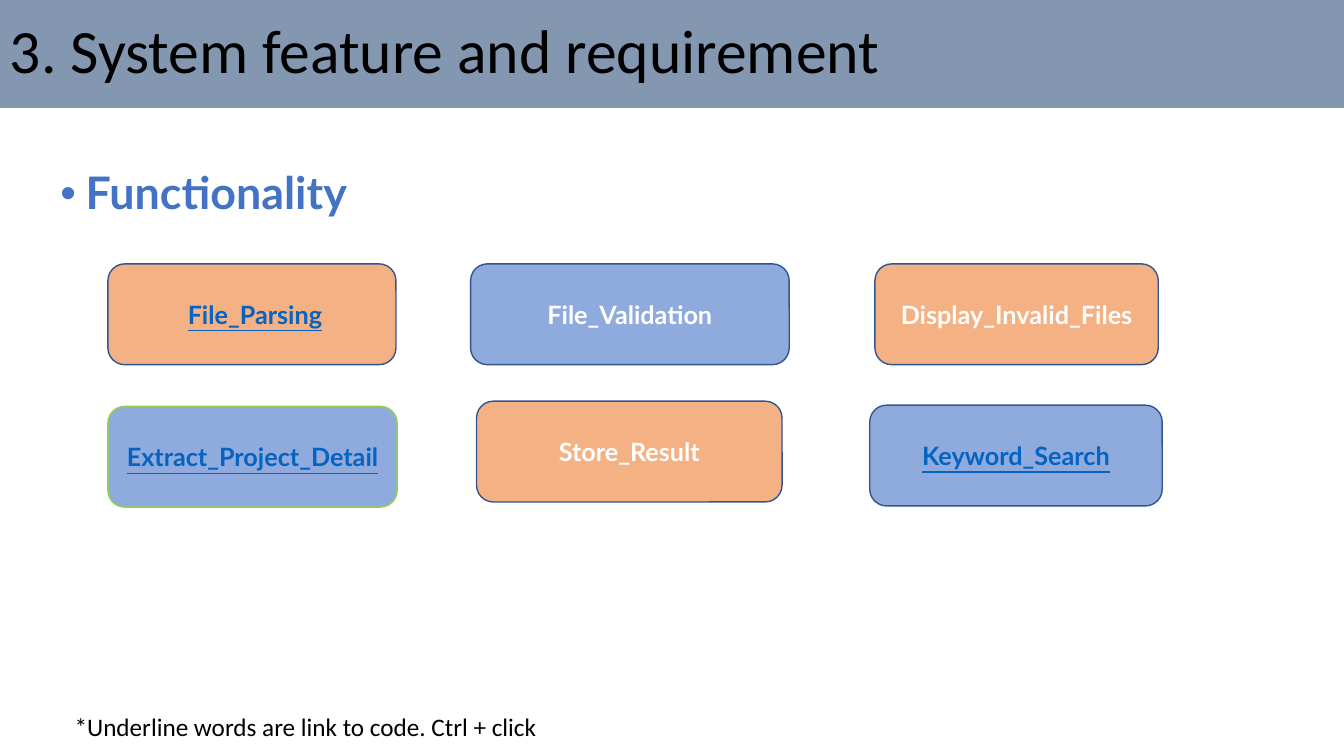
from lxml.etree import SubElement
from pptx import Presentation
from pptx.dml.color import RGBColor
from pptx.enum.shapes import MSO_SHAPE
from pptx.enum.text import MSO_ANCHOR, PP_ALIGN
from pptx.oxml.ns import qn
from pptx.util import Cm, Pt

COLORS = {
    "banner": "8497B0",
    "heading": "4472C4",
    "blue": "8FAADC",
    "orange": "F4B183",
    "outline": "325491",
    "green": "92D050",
    "link": "0563C1",
    "white": "FFFFFF",
    "black": "000000",
}
TITLE = {"name": "Calibri", "size": Pt(44), "bold": False}
HEADING = {"name": "Lato", "size": Pt(32), "bold": True}
FEATURE = {"name": "Lato", "size": Pt(18), "bold": True}
LINK = {**FEATURE, "underline": True}
NOTE = {"name": "Calibri", "size": Pt(18), "bold": False}


def rgb(color):
    return RGBColor.from_string(COLORS[color])


def add_run(paragraph, text, style, color):
    run = paragraph.add_run()
    run.text = text
    for attribute, value in style.items():
        setattr(run.font, attribute, value)
    run.font.color.rgb = rgb(color)


deck = Presentation()
deck.slide_width, deck.slide_height = Cm(33.87), Cm(19.05)
slide = deck.slides.add_slide(deck.slide_layouts[6])
shapes = slide.shapes

# Title banner
banner = shapes.add_shape(MSO_SHAPE.RECTANGLE, 0, 0, deck.slide_width, Cm(2.72))
banner.shadow.inherit = False
banner.fill.solid()
banner.fill.fore_color.rgb = rgb("banner")
banner.line.fill.background()
banner.text_frame.vertical_anchor = MSO_ANCHOR.MIDDLE
title = banner.text_frame.paragraphs[0]
title.alignment = PP_ALIGN.LEFT
title.line_spacing = 0.9
add_run(title, "3. System feature and requirement", TITLE, "black")

# Bulleted heading
body = shapes.add_textbox(Cm(1.27), Cm(4.19), Cm(30.84), Cm(12.67))
body.text_frame.word_wrap = True
heading = body.text_frame.paragraphs[0]
heading.line_spacing = 0.9
heading.space_before = Pt(10)
add_run(heading, "Functionality", HEADING, "heading")
bullet_format = heading._p.get_or_add_pPr()
bullet_format.set("marL", str(Cm(0.64)))
bullet_format.set("indent", str(-Cm(0.64)))
SubElement(bullet_format, qn("a:buFont"), typeface="Arial")
SubElement(bullet_format, qn("a:buChar"), char="•")

# Feature boxes: lead-in, label, left, top, width (cm), fill, outline, linked
FEATURES = [
    ("", "Extract_Project_Detail", 2.72, 10.24, 7.29, "blue", "green", True),
    ("", "Display_Invalid_Files", 22.05, 6.65, 7.14, "orange", "outline", False),
    ("", "File_Validation", 11.86, 6.65, 8.03, "blue", "outline", False),
    (" ", "File_Parsing", 2.72, 6.65, 7.26, "orange", "outline", True),
    ("", "Store_Result", 12.01, 10.11, 7.7, "orange", "outline", False),
    ("", "Keyword_Search", 21.92, 10.21, 7.37, "blue", "outline", True),
]
for lead, label, left, top, width, fill, outline, linked in FEATURES:
    feature = shapes.add_shape(
        MSO_SHAPE.ROUNDED_RECTANGLE, Cm(left), Cm(top), Cm(width), Cm(2.54)
    )
    feature.shadow.inherit = False
    feature.fill.solid()
    feature.fill.fore_color.rgb = rgb(fill)
    feature.line.color.rgb = rgb(outline)
    feature.line.width = Pt(1)
    feature.text_frame.word_wrap = True
    feature.text_frame.vertical_anchor = MSO_ANCHOR.MIDDLE
    caption = feature.text_frame.paragraphs[0]
    caption.alignment = PP_ALIGN.CENTER
    if lead:
        add_run(caption, lead, FEATURE, "white")
    add_run(caption, label, LINK if linked else FEATURE, "link" if linked else "white")

# Footnote
footnote = shapes.add_textbox(Cm(1.63), Cm(17.81), Cm(12.57), Cm(1.02))
footnote.text_frame.word_wrap = True
add_run(
    footnote.text_frame.paragraphs[0],
    "*Underline words are link to code. Ctrl + click",
    NOTE,
    "black",
)

deck.save("out.pptx")
